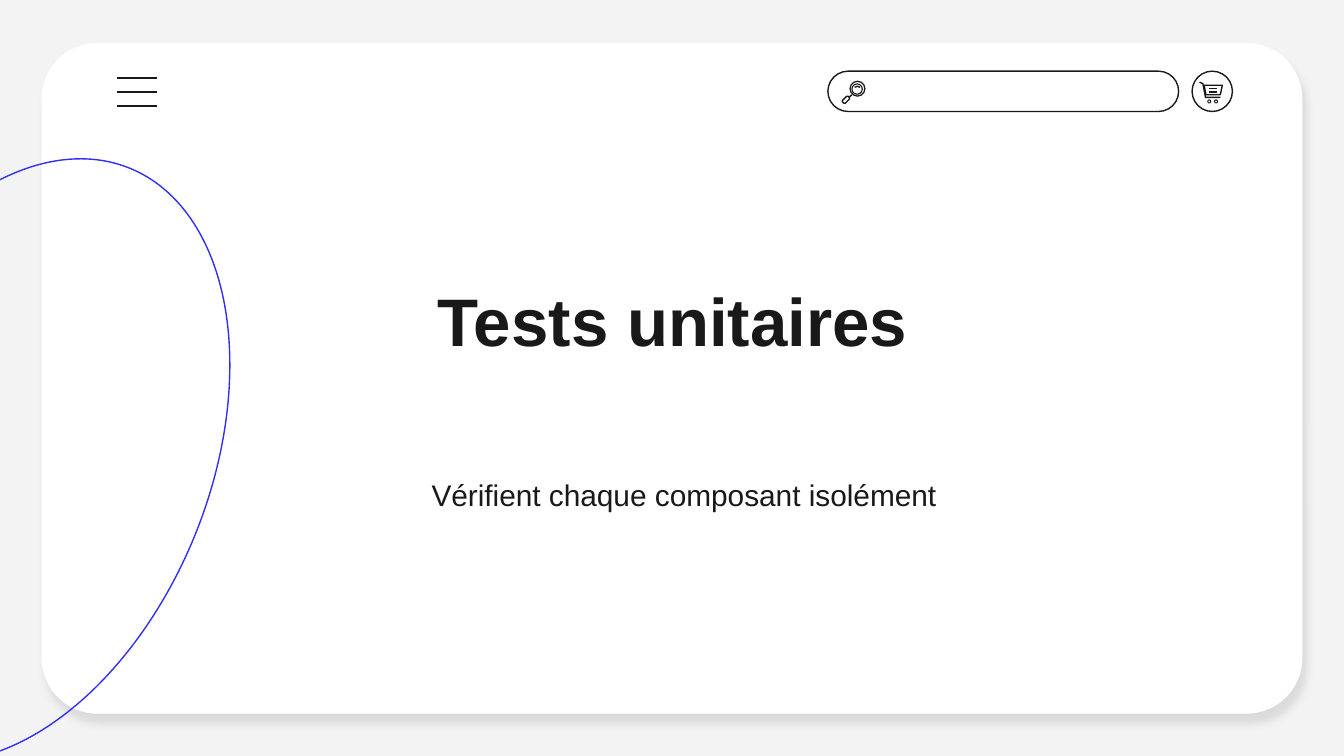
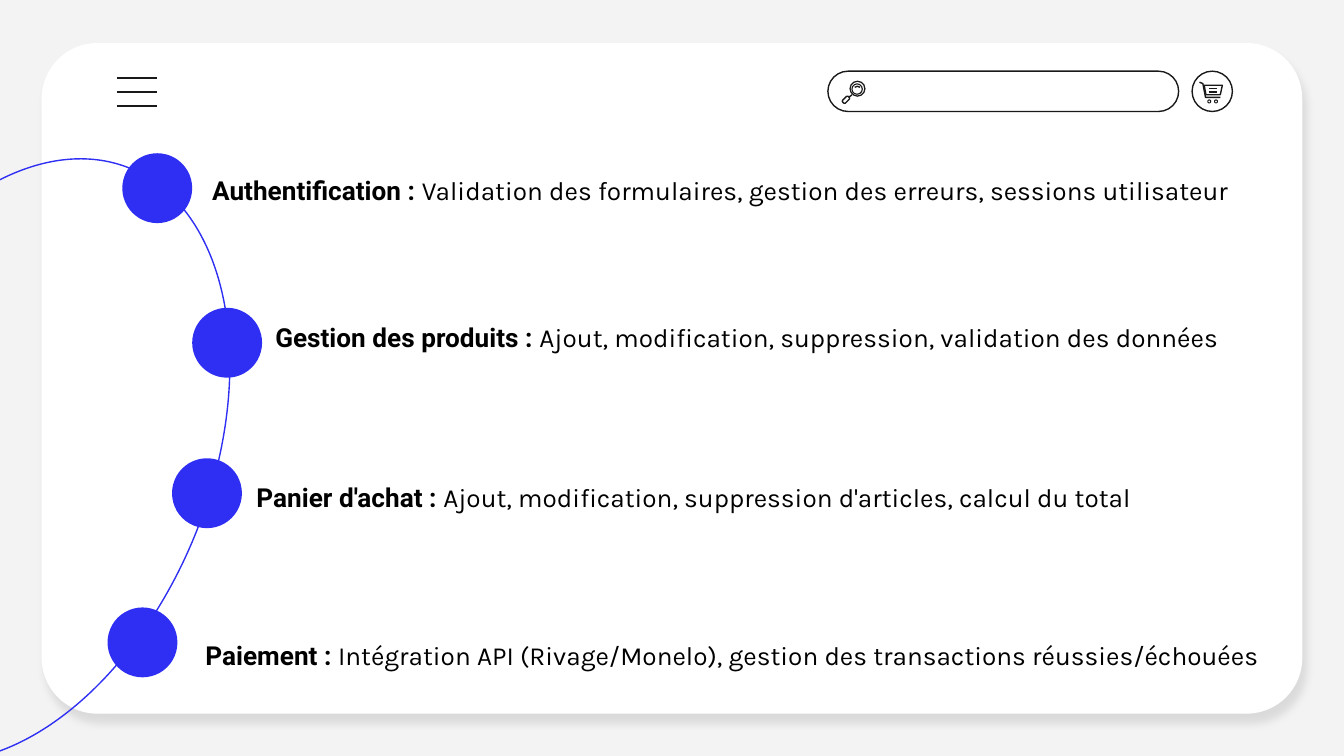
from lxml.etree import SubElement
from pptx import Presentation
from pptx.dml.color import RGBColor
from pptx.enum.shapes import MSO_CONNECTOR, MSO_SHAPE
from pptx.enum.text import MSO_ANCHOR, MSO_AUTO_SIZE, PP_ALIGN
from pptx.oxml.ns import qn
from pptx.util import Inches, Pt

COLS, ROWS = 100, 56.25
INK, BLUE, WHITE, GREY, BLACK = "191919", "2F2FF4", "FFFFFF", "F3F3F3", "000000"
THIN = 0.75
DOT = 5.2

# Dot corner, text corner, text width, heading, detail
TESTS = [
    (9.1, 11.4, 14.8, 12.5, 78.7, "Authentification : ",
     "Validation des formulaires, gestion des erreurs, sessions utilisateur"),
    (14.3, 22.9, 19.5, 23.4, 78.7, "Gestion des produits : ",
     "Ajout, modification, suppression, validation des données"),
    (12.8, 34.1, 18.1, 35.3, 78.7, "Panier d'achat : ",
     "Ajout, modification, suppression d'articles, calcul du total"),
    (8, 45.2, 14.3, 47.1, 84.3, "Paiement : ",
     "Intégration API (Rivage/Monelo), gestion des transactions réussies/échouées"),
]


def rgb(code):
    return RGBColor.from_string(code)


class Deck:
    """Draws on the current slide, in cells of a 100-column grid."""

    def __init__(self):
        self.prs = Presentation()
        self.prs.slide_width = Inches(10)
        self.prs.slide_height = Inches(5.625)
        self.slide = None

    def grid(self, x, y):
        return (round(self.prs.slide_width * x / COLS),
                round(self.prs.slide_height * y / ROWS))

    def page(self):
        self.slide = self.prs.slides.add_slide(self.prs.slide_layouts[6])
        fill = self.slide.background.fill
        fill.solid()
        fill.fore_color.rgb = rgb(GREY)
        self.card()
        self.shape(MSO_SHAPE.OVAL, -22.6, 19.5, 46.9, 29.5, line=BLUE, turn=292)
        self.menu()
        self.search()
        self.cart()

    def paint(self, item, fill=None, line=None):
        item.shadow.inherit = False
        if fill:
            item.fill.solid()
            item.fill.fore_color.rgb = rgb(fill)
        else:
            item.fill.background()
        if line:
            item.line.color.rgb = rgb(line)
            item.line.width = Pt(THIN)
        else:
            item.line.fill.background()
        return item

    def shape(self, kind, x, y, w, h, fill=None, line=None, adj=None, turn=0):
        item = self.slide.shapes.add_shape(kind, *self.grid(x, y), *self.grid(w, h))
        if adj is not None:
            item.adjustments[0] = adj
        item.rotation = turn
        return self.paint(item, fill, line)

    def rule(self, x1, y1, x2, y2):
        item = self.slide.shapes.add_connector(
            MSO_CONNECTOR.STRAIGHT, *self.grid(x1, y1), *self.grid(x2, y2))
        item.line.color.rgb = rgb(INK)
        item.line.width = Pt(THIN)
        SubElement(item._element.spPr, qn("a:effectLst"))

    def trace(self, points, close=False):
        start, *rest = [self.grid(x, y) for x, y in points]
        pen = self.slide.shapes.build_freeform(*start)
        pen.add_line_segments(rest, close=close)
        self.paint(pen.convert_to_shape(), line=INK)

    def text(self, x, y, w, h, runs, size, color, align=None, inset=None,
             anchor=MSO_ANCHOR.TOP):
        """Write one paragraph; each run is (words, font, bold)."""
        box = self.slide.shapes.add_textbox(*self.grid(x, y), *self.grid(w, h))
        frame = box.text_frame
        frame.word_wrap = True
        frame.vertical_anchor = anchor
        if inset is None:
            frame.auto_size = MSO_AUTO_SIZE.SHAPE_TO_FIT_TEXT
        else:
            frame.margin_top = frame.margin_bottom = Inches(inset)
        para = frame.paragraphs[0]
        para.alignment = align
        para.font.size = Pt(size)
        para.font.color.rgb = rgb(color)
        for words, font, bold in runs:
            run = para.add_run()
            run.text = words
            run.font.name = font
            run.font.bold = bold
            run.font.size = Pt(size)
            run.font.color.rgb = rgb(color)
        return para

    def card(self):
        item = self.shape(MSO_SHAPE.ROUNDED_RECTANGLE, 3.1, 3.2, 93.8, 49.9,
                          fill=WHITE, adj=0.083)
        glow = SubElement(item._element.spPr.find(qn("a:effectLst")),
                          qn("a:outerShdw"), blurRad=str(Pt(4.5)),
                          dist=str(Pt(6)), dir=str(68 * 60000),
                          algn="bl", rotWithShape="0")
        tint = SubElement(glow, qn("a:srgbClr"), val=BLACK)
        SubElement(tint, qn("a:alpha"), val="10000")

    def menu(self):
        for i in range(3):
            y = 5.8 + i * 1.05
            self.rule(8.7, y, 11.7, y)

    def search(self):
        self.shape(MSO_SHAPE.ROUNDED_RECTANGLE, 61.6, 5.3, 26.1, 3, line=INK, adj=0.5)
        self.shape(MSO_SHAPE.DONUT, 63.2, 6, 1.2, 1.2, fill=INK, adj=0.08)
        self.shape(MSO_SHAPE.DONUT, 63.35, 6.2, 0.86, 0.86, fill=INK, adj=0.1)
        self.trace([(63.6, 6.5), (63.8, 6.42), (64, 6.5)])
        self.shape(MSO_SHAPE.ROUNDED_RECTANGLE, 62.65, 7.27, 0.6, 0.3,
                   line=INK, adj=0.4, turn=315)
        self.rule(63.15, 7.25, 63.4, 7.05)

    def cart(self):
        self.shape(MSO_SHAPE.OVAL, 88.7, 5.3, 3, 3, line=INK)
        self.trace([(89.25, 6.12), (89.5, 6.22), (89.7, 7.25), (90.8, 7.25)])
        self.trace([(89.6, 6.35), (90.95, 6.35), (90.8, 7.05), (89.73, 7.05)],
                   close=True)
        for y in (6.6, 6.85):
            self.rule(89.95, y, 90.55, y)
        for x in (89.83, 90.33):
            self.shape(MSO_SHAPE.DONUT, x, 7.4, 0.3, 0.3, fill=INK, adj=0.25)


def cover(deck):
    deck.page()
    deck.text(23.4, 13, 53.3, 21.5, [("Tests unitaires", "Arial", True)], 36, INK,
              PP_ALIGN.CENTER, 0.1, MSO_ANCHOR.MIDDLE)
    para = deck.text(23.4, 34.5, 53.3, 7.3,
                     [("Vérifient chaque composant isolément", "Arial", False)],
                     16, INK, PP_ALIGN.CENTER, 0.1)
    props = para._p.get_or_add_pPr()
    props.set("marL", str(Inches(0.5)))
    props.set("indent", str(Inches(-0.33)))


def tests(deck):
    deck.page()
    for dx, dy, x, y, w, head, body in TESTS:
        deck.shape(MSO_SHAPE.OVAL, dx, dy, DOT, DOT, fill=BLUE)
        deck.text(x, y, w, 3.4,
                  [(head, "Roboto", True), (body, "Karla", False)], 14, BLACK)


def main():
    deck = Deck()
    cover(deck)
    tests(deck)
    deck.prs.save("out.pptx")


if __name__ == "__main__":
    main()
